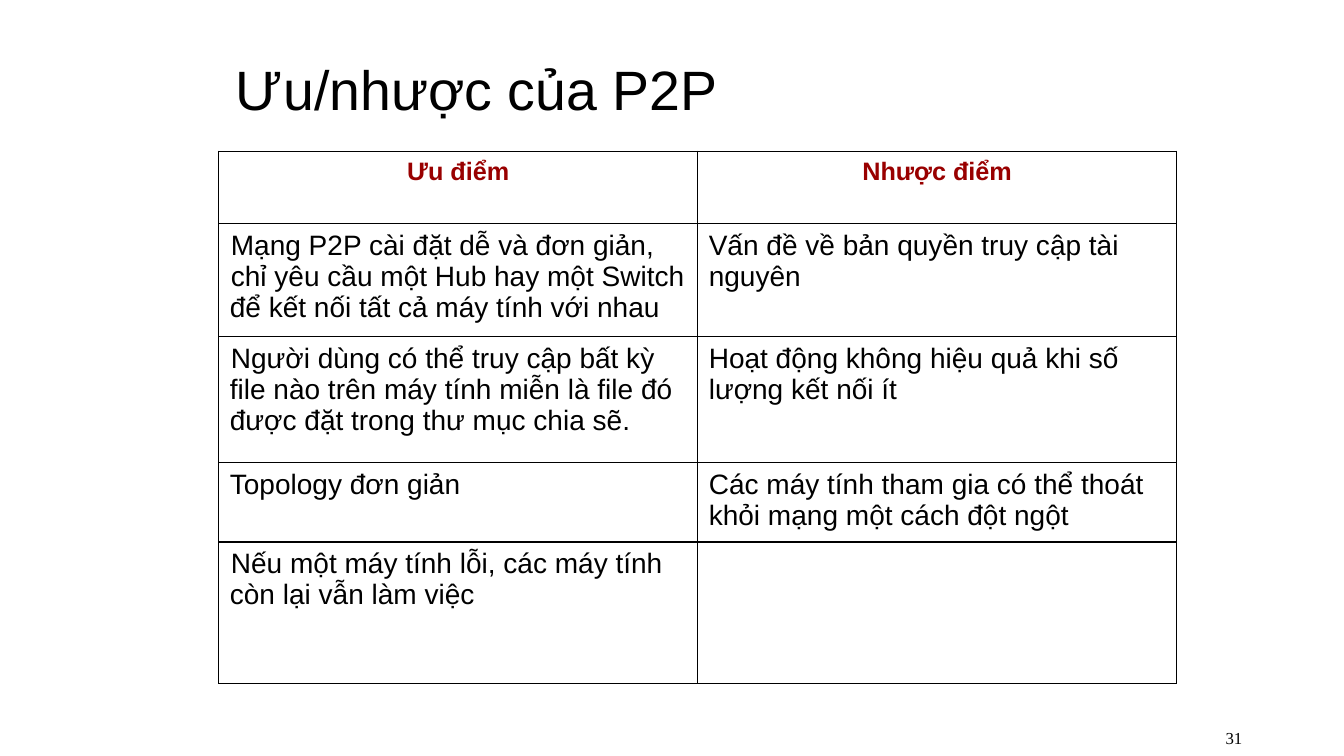
from dataclasses import dataclass

from lxml import etree
from pptx import Presentation
from pptx.dml.color import RGBColor
from pptx.enum.text import MSO_ANCHOR, PP_ALIGN
from pptx.util import Inches, Pt

LEFT, MID, RIGHT = PP_ALIGN.LEFT, PP_ALIGN.CENTER, PP_ALIGN.RIGHT
CENTRE = MSO_ANCHOR.MIDDLE
NS = "http://schemas.openxmlformats.org/drawingml/2006/main"
PLAIN = "{2D5ABB26-0587-4C30-8999-92F81FD0307C}"


@dataclass(frozen=True)
class Theme:
    """Colours, fonts and type sizes of the slide."""
    ink: str = "000000"
    accent: str = "990000"
    paper: str = "FFFFFF"
    sans: str = "Arial"
    serif: str = "Times New Roman"
    title: float = 39.6
    head: float = 18
    body: float = 20
    small: float = 12


THEME = Theme()
WIDTH, HEIGHT = 13.33, 7.5
COLS = [4.75] * 2
ROWS = [0.58, 0.72, 1.12, 1.25, 0.78, 1.4]
FLUSH, NUDGE, HANG = (0, 0), (0, 0.01), (0.38, -0.38)
HEADS = ["Ưu điểm", "Nhược điểm"]
PROS = [
    ("Mạng P2P cài đặt dễ và đơn giản,\n"
     "chỉ yêu cầu một Hub hay một Switch để kết nối tất cả máy tính với nhau", NUDGE),
    ("Người dùng có thể truy cập bất kỳ file nào trên máy tính miễn là file đó "
     "được đặt trong thư mục chia sẽ.", NUDGE),
    ("Topology đơn giản", HANG),
    ("Nếu một máy tính lỗi, các máy tính còn lại vẫn làm việc", NUDGE),
]
CONS = [
    "Vấn đề về bản quyền truy cập tài nguyên",
    "Hoạt động không hiệu quả khi số lượng kết nối ít",
    "Các máy tính tham gia có thể thoát khỏi mạng một cách đột ngột",
]


def write(frame, text, size=THEME.body, font=THEME.sans, color=THEME.ink,
          bold=False, align=LEFT, indent=FLUSH, spacing=None):
    """Fill a text frame, one paragraph for each line of text."""
    frame.word_wrap = True
    for i, line in enumerate(text.split("\n")):
        para = frame.add_paragraph() if i else frame.paragraphs[0]
        para.alignment = align
        if spacing:
            para.line_spacing = spacing
        props = para._p.get_or_add_pPr()
        for key, value in zip(("marL", "indent"), indent):
            props.set(key, str(Inches(value)))
        run = para.add_run()
        run.text = line
        run.font.size, run.font.name, run.font.bold = Pt(size), font, bold
        run.font.color.rgb = RGBColor.from_string(color)


def place(shape, left, top, width, height):
    """Set a shape's box in inches."""
    shape.left, shape.top = Inches(left), Inches(top)
    shape.width, shape.height = Inches(width), Inches(height)


def edge(cell, sides):
    """Draw one-point lines on the named sides of a cell."""
    props = cell._tc.get_or_add_tcPr()
    for i, side in enumerate(sides):
        line = etree.Element(f"{{{NS}}}ln{side}", w=str(Pt(1)))
        fill = etree.SubElement(line, f"{{{NS}}}solidFill")
        etree.SubElement(fill, f"{{{NS}}}srgbClr", val=THEME.ink)
        props.insert(i, line)


def add_grid(slide, left, top):
    """Add the empty ruled table, with an open first row."""
    table = slide.shapes.add_table(
        len(ROWS), len(COLS), Inches(left), Inches(top),
        Inches(sum(COLS)), Inches(sum(ROWS))).table
    table.first_row = table.horz_banding = False
    table._tbl.tblPr[0].text = PLAIN
    for col, width in zip(table.columns, COLS):
        col.width = Inches(width)
    for r, height in enumerate(ROWS):
        table.rows[r].height = Inches(height)
        for cell in table.rows[r].cells:
            cell.fill.background()
            cell.margin_left = cell.margin_right = Inches(0.11)
            cell.margin_top = cell.margin_bottom = Inches(0.06)
            edge(cell, "LRTB" if r else "B")
    return table


def fill_grid(table):
    """Write the headings and both columns of points."""
    for c, head in enumerate(HEADS):
        write(table.cell(1, c).text_frame, head, size=THEME.head,
              color=THEME.accent, bold=True, align=MID, indent=HANG)
    for r, (text, indent) in enumerate(PROS, 2):
        write(table.cell(r, 0).text_frame, text, indent=indent)
    for r, text in enumerate(CONS, 2):
        write(table.cell(r, 1).text_frame, text)


def add_title(slide, text):
    """Place and fill the title placeholder."""
    title = slide.shapes.title
    place(title, 2.24, 0.54, 10.65, HEIGHT / 10)
    title.text_frame.vertical_anchor = CENTRE
    write(title.text_frame, text, size=THEME.title, spacing=0.9)


def add_number(slide, text):
    """Add the page number at the lower right."""
    box = slide.shapes.add_textbox(0, 0, 0, 0)
    place(box, 9.42, HEIGHT - 0.36, 3, 0.36)
    box.text_frame.vertical_anchor = CENTRE
    write(box.text_frame, text, size=THEME.small, font=THEME.serif, align=RIGHT)


def main():
    """Build and save the slide."""
    deck = Presentation()
    deck.slide_width, deck.slide_height = Inches(WIDTH), Inches(HEIGHT)
    slide = deck.slides.add_slide(deck.slide_layouts[5])
    slide.background.fill.solid()
    slide.background.fill.fore_color.rgb = RGBColor.from_string(THEME.paper)
    add_number(slide, "31")
    add_title(slide, "Ưu/nhược của P2P")
    fill_grid(add_grid(slide, 2.17, 0.92))
    deck.save("out.pptx")


if __name__ == "__main__":
    main()
